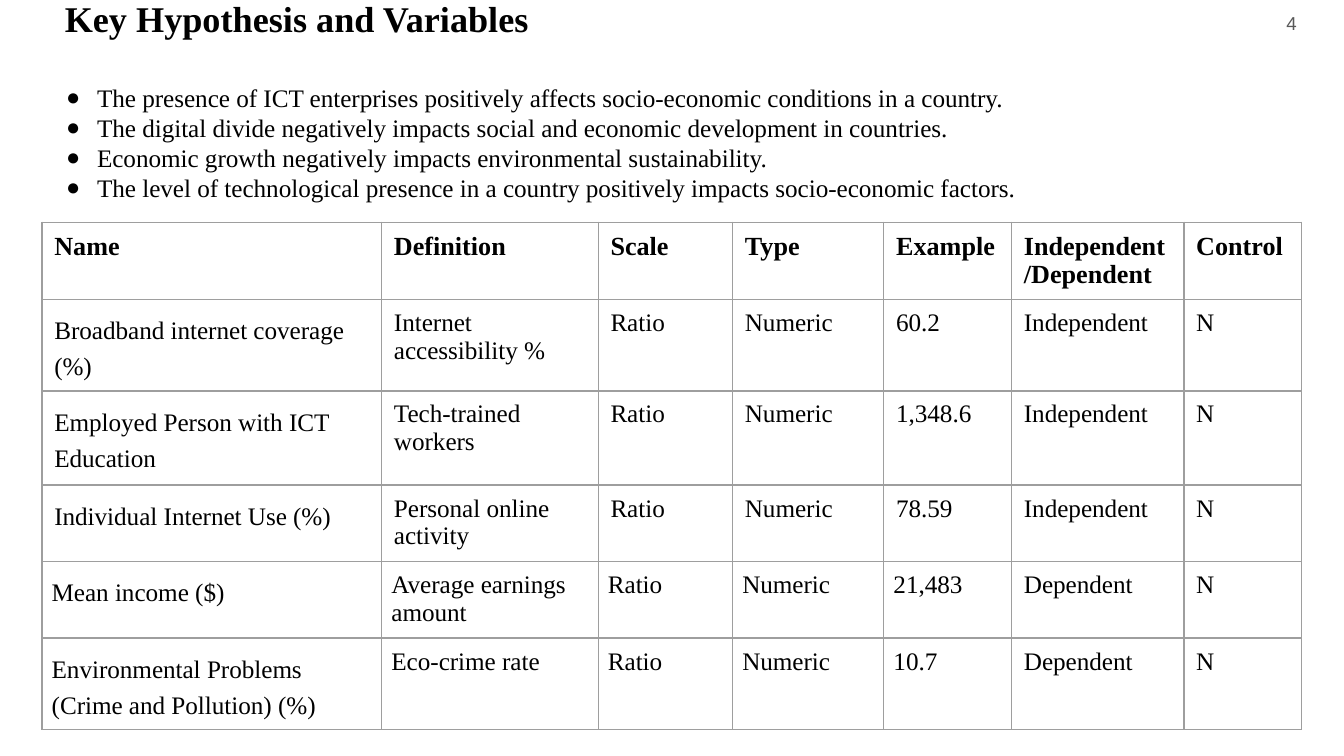
from typing import NamedTuple

from lxml.etree import SubElement
from pptx import Presentation
from pptx.dml.color import RGBColor
from pptx.enum.text import MSO_ANCHOR, PP_ALIGN
from pptx.oxml.ns import qn
from pptx.util import Pt

BLACK = RGBColor(0x00, 0x00, 0x00)
GRAY = RGBColor(0x59, 0x59, 0x59)
BORDER = RGBColor(0x9E, 0x9E, 0x9E)
SERIF, SANS = "Times New Roman", "Arial"
BODY_SIZE = 13.5
WIDE_INSET, NARROW_INSET = 6.6, 5.2


class Variable(NamedTuple):
    name: str
    definition: str
    scale: str
    type: str
    example: str
    role: str
    control: str


HYPOTHESES = [
    "The presence of ICT enterprises positively affects socio-economic conditions in a country.",
    "The digital divide negatively impacts social and economic development in countries.",
    "Economic growth negatively impacts environmental sustainability.",
    "The level of technological presence in a country positively impacts socio-economic factors.",
]
HEADER = Variable("Name", "Definition", "Scale", "Type", "Example",
                  "Independent/Dependent", "Control")
VARIABLES = [
    Variable("Broadband internet coverage (%)", "Internet accessibility %",
             "Ratio", "Numeric", "60.2", "Independent", "N"),
    Variable("Employed Person with ICT Education", "Tech-trained workers",
             "Ratio", "Numeric", "1,348.6", "Independent", "N"),
    Variable("Individual Internet Use (%)", "Personal online activity",
             "Ratio", "Numeric", "78.59", "Independent", "N"),
    Variable("Mean income ($)", "Average earnings amount",
             "Ratio", "Numeric", "21,483", "Dependent", "N"),
    Variable("Environmental Problems (Crime and Pollution) (%)", "Eco-crime rate",
             "Ratio", "Numeric", "10.7", "Dependent", "N"),
]
COLUMN_WIDTHS = [182, 116, 72, 81, 68.5, 92.3, 63.2]
ROW_HEIGHTS = [25.2, 41, 50.4, 41, 41, 41]


def write(para, text: str, *, size: float = BODY_SIZE, font: str = SERIF,
          color: RGBColor = BLACK, bold: bool = False, spacing: float = 1.0,
          before: float = 0, align: PP_ALIGN = PP_ALIGN.LEFT) -> None:
    para.alignment = align
    para.line_spacing = spacing
    para.space_before = Pt(before)
    span = para.add_run()
    span.text = text
    span.font.size = Pt(size)
    span.font.name = font
    span.font.bold = bold
    span.font.color.rgb = color


def add_bullet(para) -> None:
    properties = para._p.get_or_add_pPr()
    properties.set("marL", str(Pt(17.3)))
    properties.set("indent", str(Pt(-16.6)))
    color = SubElement(properties, qn("a:buClr"))
    SubElement(color, qn("a:srgbClr"), val=str(BLACK))
    SubElement(properties, qn("a:buSzPct"), val="93000")
    SubElement(properties, qn("a:buFont"), typeface=SERIF)
    SubElement(properties, qn("a:buChar"), char="●")


def add_text_frame(page, left: float, top: float, width: float, height: float):
    box = page.shapes.add_textbox(Pt(left), Pt(top), Pt(width), Pt(height))
    frame = box.text_frame
    frame.word_wrap = True
    frame.vertical_anchor = MSO_ANCHOR.MIDDLE
    frame.margin_left = frame.margin_right = Pt(5.2)
    frame.margin_top = frame.margin_bottom = Pt(2.6)
    return frame


def style_cell(cell, inset: float) -> None:
    cell.margin_left = cell.margin_right = Pt(inset)
    cell.margin_top = cell.margin_bottom = Pt(5.2)
    properties = cell._tc.get_or_add_tcPr()
    for side in ("lnL", "lnR", "lnT", "lnB"):
        line = SubElement(properties, qn(f"a:{side}"), w=str(Pt(0.75)))
        fill = SubElement(line, qn("a:solidFill"))
        SubElement(fill, qn("a:srgbClr"), val=str(BORDER))
    cell.fill.background()


def add_variable_table(page) -> None:
    rows = [HEADER, *VARIABLES]
    table = page.shapes.add_table(
        len(rows), len(HEADER), Pt(22.5), Pt(119),
        Pt(sum(COLUMN_WIDTHS)), Pt(sum(ROW_HEIGHTS))).table
    table.first_row = table.horz_banding = False
    for column, width in zip(table.columns, COLUMN_WIDTHS):
        column.width = Pt(width)
    for row, height in zip(table.rows, ROW_HEIGHTS):
        row.height = Pt(height)

    for row_index, variable in enumerate(rows):
        is_header = row_index == 0
        for column_index, text in enumerate(variable):
            cell = table.cell(row_index, column_index)
            narrow = row_index >= 4 and column_index <= 4
            style_cell(cell, NARROW_INSET if narrow else WIDE_INSET)
            write(cell.text_frame.paragraphs[0], text, bold=is_header,
                  size=14 if is_header else BODY_SIZE,
                  spacing=1.3 if column_index == 0 and not is_header else 1.0)


def main() -> None:
    deck = Presentation()
    deck.slide_width, deck.slide_height = Pt(720), Pt(405)
    page = deck.slides.add_slide(deck.slide_layouts[6])

    # Variables
    add_variable_table(page)

    # Title and hypotheses
    frame = add_text_frame(page, 29.5, 22.3, 612.7, 64.8)
    write(frame.paragraphs[0], "Key Hypothesis and Variables",
          size=19.4, bold=True, spacing=0.9)
    for index, hypothesis in enumerate(HYPOTHESES):
        para = frame.add_paragraph()
        write(para, hypothesis, before=22.4 if index == 0 else 0)
        add_bullet(para)

    # Page number
    number = add_text_frame(page, 663.8, 0, 56.2, 24.5)
    write(number.paragraphs[0], "4", size=10, font=SANS, color=GRAY,
          align=PP_ALIGN.CENTER)

    deck.save("out.pptx")


if __name__ == "__main__":
    main()
